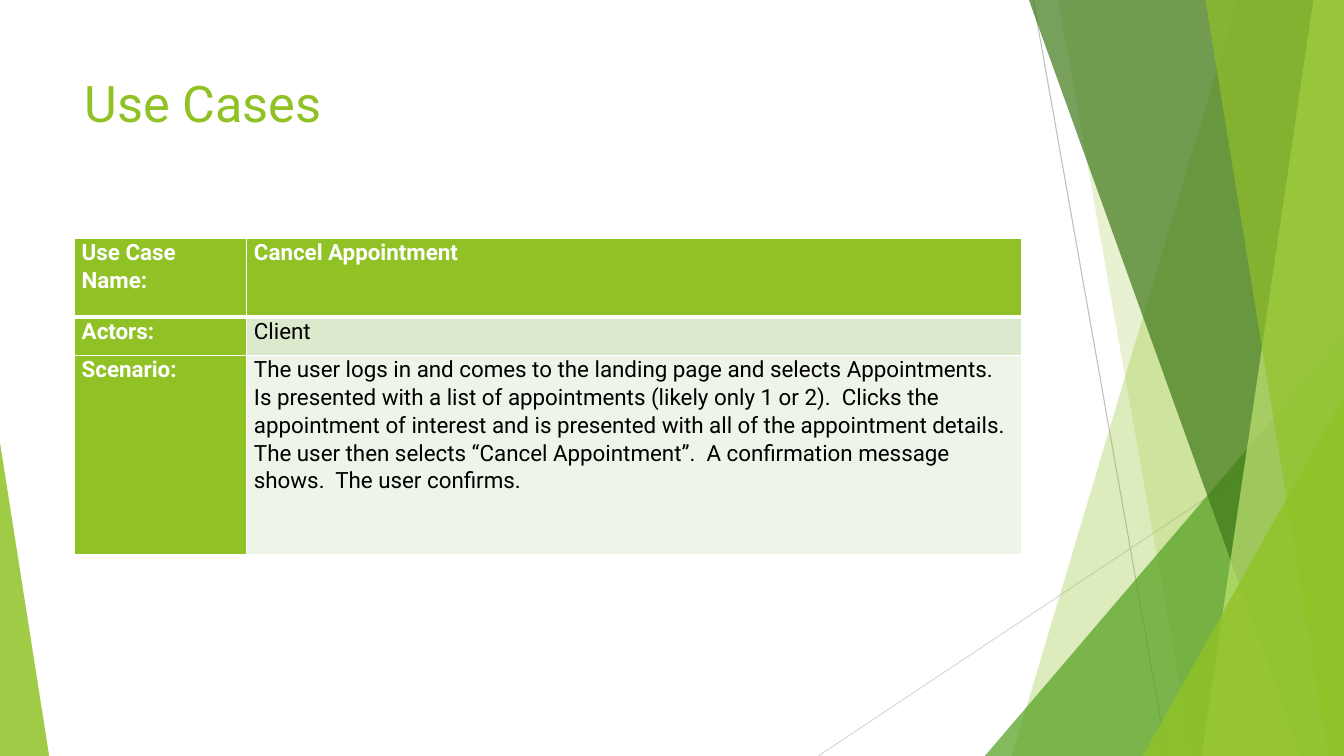
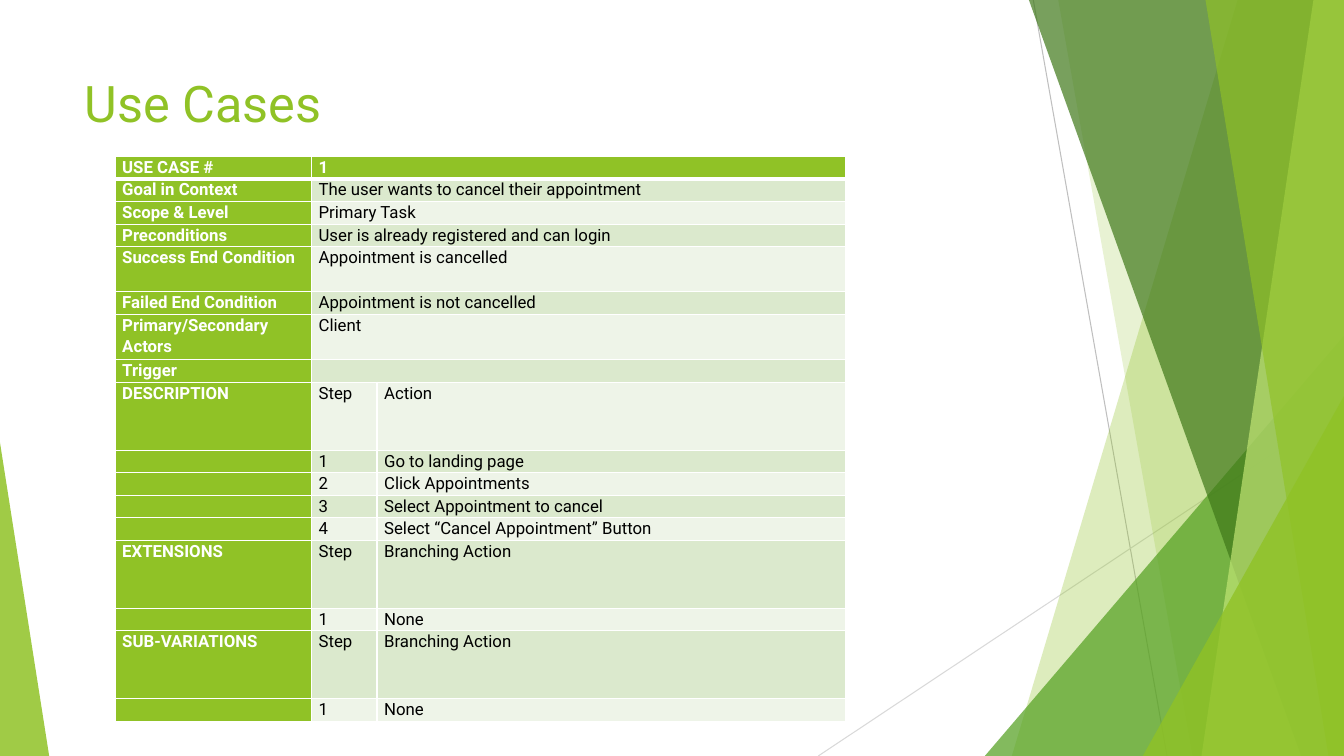
from lxml.etree import SubElement
from pptx import Presentation
from pptx.dml.color import RGBColor
from pptx.enum.shapes import MSO_CONNECTOR as Connector, MSO_SHAPE as Shape
from pptx.enum.text import MSO_ANCHOR as Anchor
from pptx.oxml.ns import qn
from pptx.util import Cm, Pt

GREEN, LEAF, FOREST, LIME = "90C226", "54A021", "3F7819", "C0E474"
WHITE, BLACK = "FFFFFF", "000000"
ROW_TINTS = ["EEF4E8", "DBE9CD"]
FONT = "Roboto"
WIDTH, HEIGHT = 33.87, 19.05

# Hairlines behind the bands: x1, y1, x2, y2, colour
HAIRLINES = [
    (26.04, 0, 29.41, HEIGHT, "BFBFBF"),
    (WIDTH, 10.24, 20.62, HEIGHT, "D9D9D9"),
]
# Back to front. A band runs to the right edge: top x, bottom x.
# A triangle stands on the bottom edge: left, top, width, peak position.
FACETS = [
    ("band", (31.19, 25.5), GREEN, 30),
    ("band", (26.67, 30.05), GREEN, 20),
    ("triangle", (24.82, 8.46, 9.05, 1), LEAF, 72),
    ("band", (25.93, 32.79), FOREST, 70),
    ("band", (33.1, 30.28), LIME, 70),
    ("band", (30.38, 33.48), GREEN, 65),
    ("triangle", (28.8, 9.98, 5.07, 1), GREEN, 80),
    ("triangle", (0, 11.15, 1.24, 0), GREEN, 85),
]

SUMMARY = [
    ("Use Case Name:", "Cancel Appointment"),
    ("Actors:", "Client"),
    ("Scenario:", "The user logs in and comes to the landing page and selects "
     "Appointments.  Is presented with a list of appointments (likely only 1 or 2).  "
     "Clicks the appointment of interest and is presented with all of the appointment "
     "details.  The user then selects “Cancel Appointment”.  A confirmation message "
     "shows.  The user confirms."),
]
DETAILS = [
    ("USE CASE #", "1"),
    ("Goal in Context", "The user wants to cancel their appointment"),
    ("Scope & Level", "Primary Task"),
    ("Preconditions", "User is already registered and can login"),
    ("Success End Condition", "Appointment is cancelled"),
    ("Failed End Condition", "Appointment is not cancelled"),
    ("Primary/Secondary Actors", "Client"),
    ("Trigger", ""),
    ("DESCRIPTION", "Step", "Action"),
    ("", "1", "Go to landing page"),
    ("", "2", "Click Appointments"),
    ("", "3", "Select Appointment to cancel"),
    ("", "4", "Select “Cancel Appointment” Button"),
    ("EXTENSIONS", "Step", "Branching Action"),
    ("", "1", "None"),
    ("SUB-VARIATIONS", "Step", "Branching Action"),
    ("", "1", "None"),
]
DETAIL_LINES = [1, 1, 1, 1, 2, 1, 2, 1, 3, 1, 1, 1, 1, 3, 1, 3, 1]

USE_CASES = [
    {"rows": SUMMARY, "left": 1.88, "top": 6, "size": 16,
     "widths": [4.34, 19.53], "heights": [1.98, 0.97, 5.03]},
    {"rows": DETAILS, "left": 2.9, "top": 3.94, "size": 12,
     "widths": [4.95, 1.65, 11.81], "heights": [0.57 * n for n in DETAIL_LINES]},
]
CELL_FORMAT = {"margin_left": Cm(0.18), "margin_right": Cm(0.18),
               "margin_top": 0, "margin_bottom": 0, "vertical_anchor": Anchor.TOP}


def rgb(value):
    return RGBColor.from_string(value)


def write(paragraph, text, size, color, bold=False):
    if not text:
        # An empty cell still needs the size, or its row grows
        SubElement(paragraph._p, qn("a:endParaRPr"), sz=str(size * 100))
        return
    run = paragraph.add_run()
    run.text = text
    for key, value in {"name": FONT, "size": Pt(size), "bold": bold}.items():
        setattr(run.font, key, value)
    run.font.color.rgb = rgb(color)


prs = Presentation()
prs.slide_width, prs.slide_height = Cm(WIDTH), Cm(HEIGHT)

for case in USE_CASES:
    slide = prs.slides.add_slide(prs.slide_layouts[6])
    shapes = slide.shapes

    for x1, y1, x2, y2, color in HAIRLINES:
        hairline = shapes.add_connector(Connector.STRAIGHT, Cm(x1), Cm(y1), Cm(x2), Cm(y2))
        hairline.line.color.rgb = rgb(color)
        hairline.line.width = Pt(0.75)
        SubElement(hairline._element.spPr, qn("a:effectLst"))

    for kind, place, color, opacity in FACETS:
        if kind == "band":
            top_x, bottom_x = place
            outline = shapes.build_freeform(Cm(top_x), 0)
            outline.add_line_segments([(Cm(WIDTH), 0), (Cm(WIDTH), Cm(HEIGHT)),
                                       (Cm(bottom_x), Cm(HEIGHT))])
            facet = outline.convert_to_shape()
        else:
            left, top, width, peak = place
            facet = shapes.add_shape(Shape.ISOSCELES_TRIANGLE, Cm(left), Cm(top),
                                     Cm(width), Cm(HEIGHT - top))
            facet.adjustments[0] = peak
        facet.shadow.inherit = False
        facet.line.fill.background()
        facet.fill.solid()
        facet.fill.fore_color.rgb = rgb(color)
        tone = facet._element.spPr.find(qn("a:solidFill"))[0]
        SubElement(tone, qn("a:alpha"), val=str(opacity * 1000))

    title = shapes.add_textbox(Cm(1.88), Cm(1.7), Cm(23.88), Cm(3.66)).text_frame
    title.word_wrap = True
    write(title.paragraphs[0], "Use Cases", 36, GREEN)

    widths, heights = case["widths"], case["heights"]
    table = shapes.add_table(len(heights), len(widths), Cm(case["left"]), Cm(case["top"]),
                             Cm(sum(widths)), Cm(sum(heights))).table
    for column, width in zip(table.columns, widths):
        column.width = Cm(width)

    for r, texts in enumerate(case["rows"]):
        table.rows[r].height = Cm(heights[r])
        if len(texts) < len(widths):
            table.cell(r, len(texts) - 1).merge(table.cell(r, len(widths) - 1))
        for c in range(len(widths)):
            cell = table.cell(r, c)
            for key, value in CELL_FORMAT.items():
                setattr(cell, key, value)

            for side in "LRTB":
                under_header = (r, side) in [(0, "B"), (1, "T")]
                border = SubElement(cell._tc.get_or_add_tcPr(), qn(f"a:ln{side}"),
                                    w=str(Pt(3 if under_header else 1)))
                SubElement(SubElement(border, qn("a:solidFill")), qn("a:srgbClr"), val=WHITE)

            heading = r == 0 or c == 0
            cell.fill.solid()
            cell.fill.fore_color.rgb = rgb(GREEN if heading else ROW_TINTS[r % 2])
            paragraph = cell.text_frame.paragraphs[0]
            paragraph.line_spacing = 1.07
            write(paragraph, texts[c] if c < len(texts) else "", case["size"],
                  WHITE if heading else BLACK, heading)

prs.save("out.pptx")
